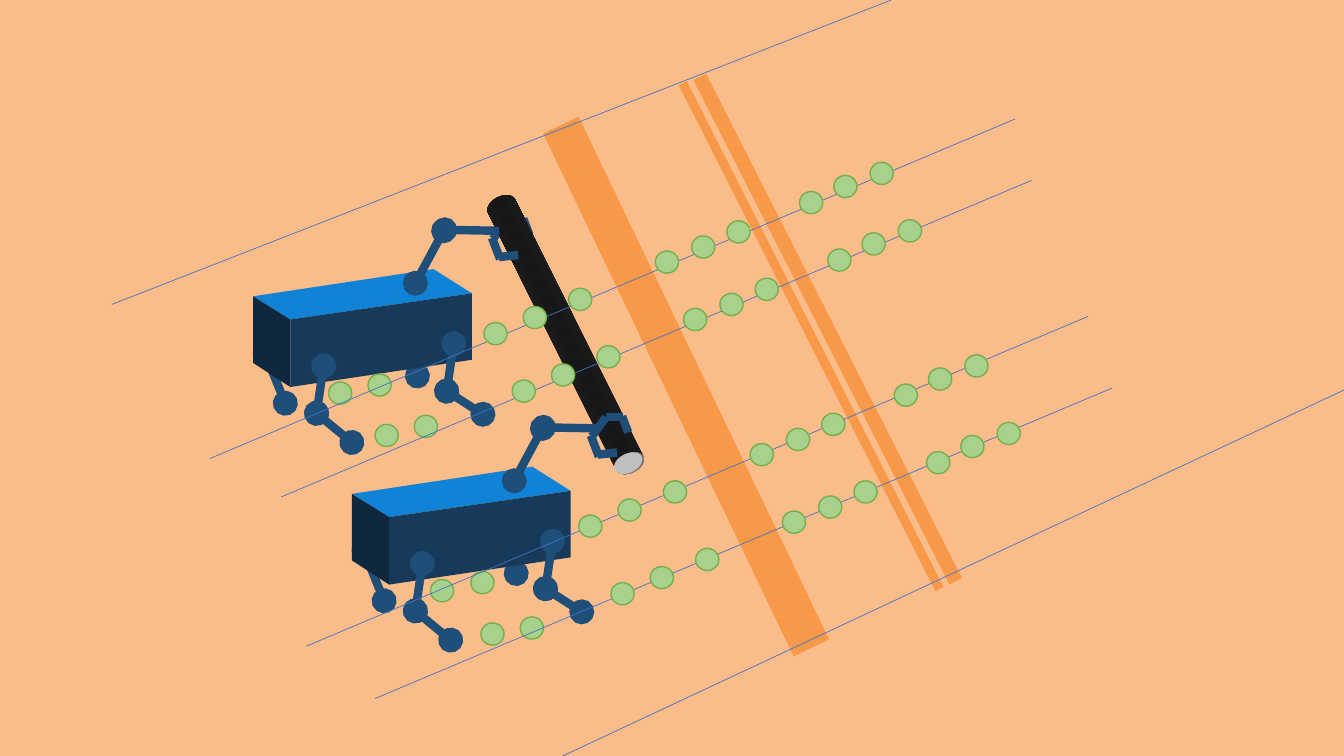
import copy
import pptx
import pptx.util
import pptx.dml.color
import pptx.enum.shapes
import pptx.oxml
import pptx.oxml.ns

theme = {
    "sand": "FABD8A", "stripe": "F8994A", "limb": "1F4E79", "lane": "4472C4",
    "dot": "A9D18E", "rim": "73AF4B", "lid": "C0BEBE", "edge": "444444", "core": "171717",
    "top": "1083D6", "side": "10283D", "front": "183A5A",
    "thick": 6, "thin": 0.5, "ring": 1,
}
kinds = pptx.enum.shapes.MSO_SHAPE
color = pptx.dml.color.RGBColor.from_string
unit = pptx.util.Cm(2.54)

deck = pptx.Presentation()
for key, size in {"slide_width": 13.33, "slide_height": 7.5}.items():
    setattr(deck, key, int(size * unit))
slide = deck.slides.add_slide(deck.slide_layouts[6])
shapes = slide.shapes


def paint(shape, fill, rim=None, **form):
    shape.shadow.inherit = False
    shape.fill.solid()
    shape.fill.fore_color.rgb = color(theme[fill])
    if rim:
        shape.line.color.rgb = color(theme[rim])
        shape.line.width = pptx.util.Pt(theme["ring"])
    else:
        shape.line.fill.background()
    for key, value in form.items():
        setattr(shape, key, value)
    return shape


def draw(start, end, tint, width, tips=()):
    rod = shapes.add_connector(
        pptx.enum.shapes.MSO_CONNECTOR.STRAIGHT, *[int(n * unit) for n in (*start, *end)])
    rod.line.color.rgb = color(theme[tint])
    rod.line.width = pptx.util.Pt(theme[width])
    pen = rod.line._ln
    for tip in tips:
        pptx.oxml.ns.qn("a:" + tip)
        mark = pptx.oxml.parse_xml(f'<a:{tip} {pptx.oxml.ns.nsdecls("a")} type="oval"/>')
        pen.append(mark)
    rod._element.spPr.append(
        pptx.oxml.parse_xml(f'<a:effectLst {pptx.oxml.ns.nsdecls("a")}/>'))


paint(shapes.add_shape(kinds.RECTANGLE, 0, 0, deck.slide_width, deck.slide_height), "sand")

stripes = [
    (6.61, 0.96, 0.39, 5.75, 334.4),
    (8, 0.52, 0.09, 5.63, 333.1),
    (8.14, 0.46, 0.14, 5.61, 333.1),
]
for *box, turn in stripes:
    bar = shapes.add_shape(kinds.RECTANGLE, *[int(n * unit) for n in box])
    paint(bar, "stripe", rotation=turn)

both, tail = ("headEnd", "tailEnd"), ("tailEnd",)
hind = [((2.63, 3.51), (2.83, 4)), ((3.93, 3.45), (4.14, 3.73))]
faces = {
    "top": [(2.51, 2.94), (4.3, 2.67), (4.68, 2.91), (2.88, 3.17)],
    "side": [(2.51, 2.94), (2.88, 3.17), (2.88, 3.84), (2.51, 3.6)],
    "front": [(2.88, 3.17), (4.68, 2.91), (4.68, 3.57), (2.88, 3.84)],
}
legs = [
    ((4.5, 3.41), (4.43, 3.88)), ((4.43, 3.88), (4.79, 4.11)),
    ((3.21, 3.63), (3.14, 4.1)), ((3.14, 4.1), (3.49, 4.39)),
]
far = [
    ((5.03, 2.18), (4.89, 2.37), ()),
    ((5.2, 2.18), (5.03, 2.18), ()),
    ((5.25, 2.33), (5.19, 2.17), ()),
]
near = [
    ((4.4, 2.29), (4.12, 2.81), both),
    ((4.95, 2.29), (4.41, 2.28), tail),
    ((4.96, 2.57), (4.88, 2.36), ()),
    ((5.14, 2.53), (4.95, 2.55), ()),
]
spots = [
    [(3.72, 4.21), (4.11, 4.12), (3.26, 3.79), (3.65, 3.71)],
    [(4.77, 6.18), (5.16, 6.12), (4.27, 5.75), (4.67, 5.67)],
]

for index, (right, down) in enumerate([(0, 0), (0.98, 1.96)]):
    limbs = [(*bone, both) for bone in hind]
    for part in ("hind", "body", "legs", "far", "pipe", "near"):
        if part == "body":
            for face, points in faces.items():
                outline = [(int((x + right) * unit), int((y + down) * unit)) for x, y in points]
                pen = shapes.build_freeform(*outline[0])
                pen.add_line_segments(outline[1:])
                paint(pen.convert_to_shape(), face)
        elif part == "pipe":
            for x, y in spots[index]:
                dot = shapes.add_shape(
                    kinds.OVAL, *[int(n * unit) for n in (x, y, 0.23, 0.22)])
                paint(dot, "dot", "rim")
            if index == 0:
                pipe = shapes.add_shape(
                    kinds.CAN, *[int(n * unit) for n in (5.46, 1.8, 0.3, 3.04)])
                paint(pipe, "edge", rotation=153.5)
                pipe.adjustments[0] = 0.63
                pipe.fill.gradient()
                pipe.fill.gradient_angle = 0
                for stop, tone, place in zip(pipe.fill.gradient_stops, ("edge", "core"), (0, 0.5)):
                    stop.color.rgb = color(theme[tone])
                    stop.position = place
                stops = pipe._element.spPr.find(".//" + pptx.oxml.ns.qn("a:gsLst"))
                last = copy.deepcopy(stops[0])
                last.set("pos", "100000")
                stops.append(last)
                lid = shapes.add_shape(
                    kinds.OVAL, *[int(n * unit) for n in (6.08, 4.5, 0.3, 0.19)])
                paint(lid, "lid", rotation=153.5)
        else:
            group = {"hind": limbs, "legs": [(*bone, both) for bone in legs],
                     "far": far, "near": near}[part]
            for (ax, ay), (bx, by), tips in group:
                draw((ax + right, ay + down), (bx + right, by + down), "limb", "thick", tips)

lanes = [
    ((5.58, 7.5), (13.33, 3.87)), ((1.11, 3.02), (8.84, 0)),
    ((3.72, 6.93), (11.03, 3.85)), ((3.04, 6.41), (10.79, 3.14)),
    ((2.08, 4.55), (10.07, 1.18)), ((2.79, 4.93), (10.23, 1.79)),
]
for start, end in lanes:
    draw(start, end, "lane", "thin")

steps = [
    (0, 0), (0.39, -0.16), (0.84, -0.34),
    (1.7, -0.71), (2.06, -0.86), (2.41, -1.01),
    (3.13, -1.3), (3.47, -1.46), (3.83, -1.59),
]
for left, top in [(6.06, 5.78), (5.74, 5.11), (5.08, 3.77), (4.8, 3.2)]:
    for x, y in steps:
        dot = shapes.add_shape(
            kinds.OVAL, *[int(n * unit) for n in (left + x, top + y, 0.23, 0.22)])
        paint(dot, "dot", "rim")

deck.save("out.pptx")
